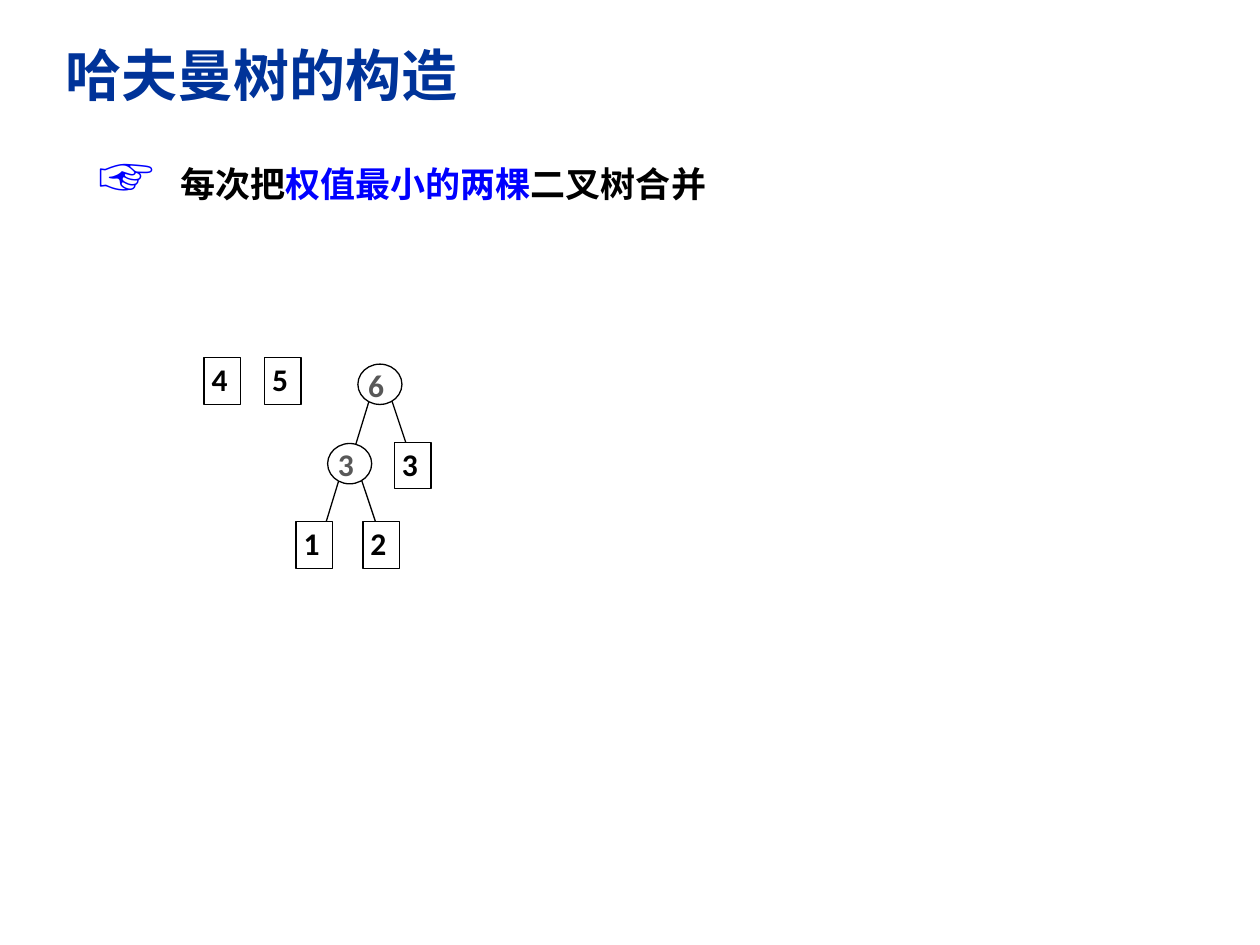
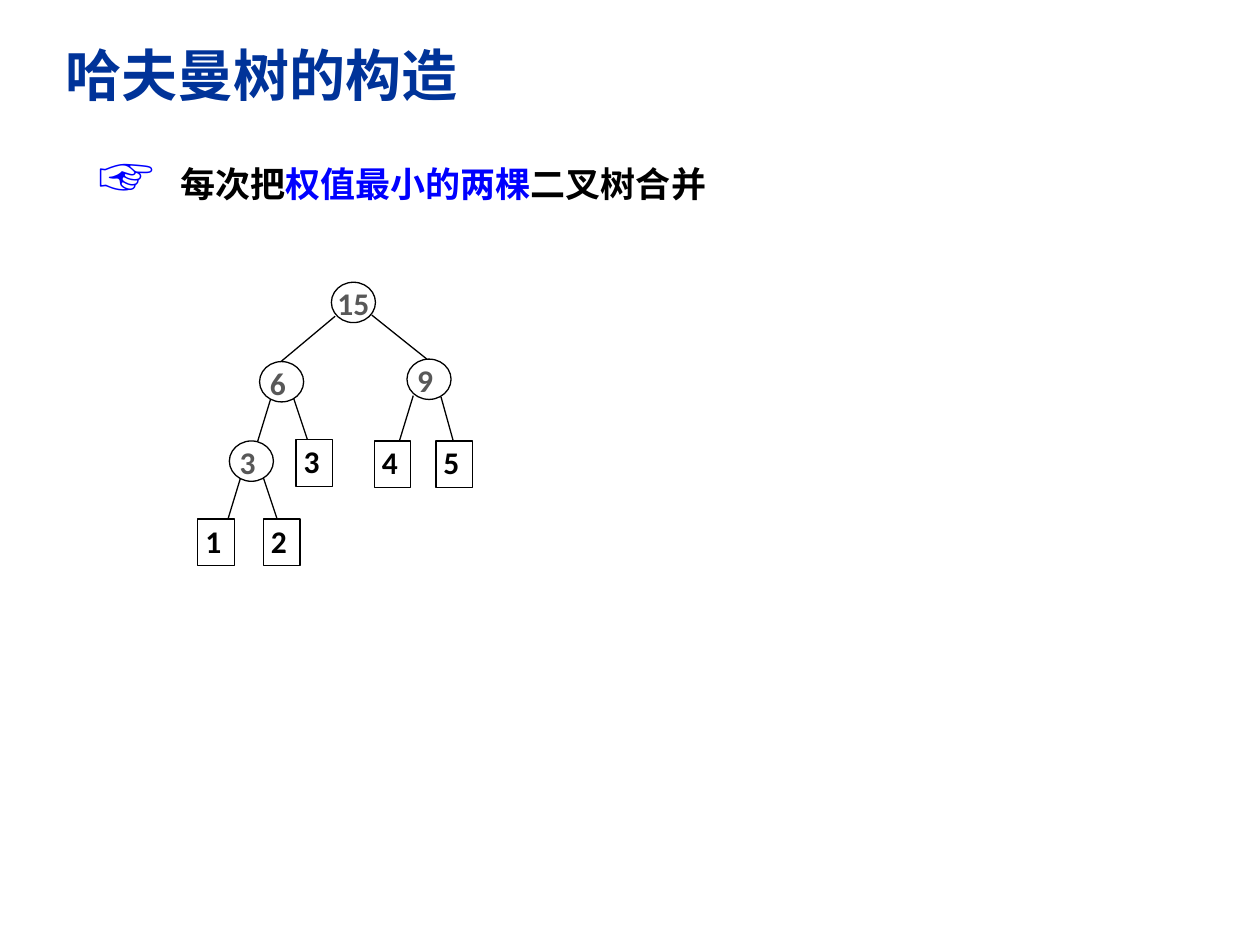
import pptx
import pptx.dml.color
import pptx.enum.shapes
import pptx.enum.text
import pptx.oxml
import pptx.oxml.ns
import pptx.util

PX = 9144
CJK_FONT = "Noto Sans CJK SC"
BLACK, BLUE, NAVY, GRAY, WHITE = "000000", "0000FF", "003399", "585858", "FFFFFF"
LEAF_WIDTH, LEAF_HEIGHT = 29, 37
CIRCLE_WIDTH, CIRCLE_HEIGHT = 35, 32

NARROW = [(9, 29, -2, 65), (27, 29, 39, 65)]
SHIFTED = [(5, 29, -6, 65), (27, 30, 37, 66)]
WIDE = [(3, 27, -40, 63), (32, 26, 77, 62)]

forests = [
    {
        "circles": [("6", 284, 289, NARROW), ("3", 260, 352, NARROW)],
        "leaves": [("4", 162, 284), ("5", 210, 284), ("1", 235, 414),
                   ("2", 288, 414), ("3", 313, 351)],
    },
    {
        "circles": [("15", 263, 224, WIDE), ("6", 206, 287, NARROW),
                    ("9", 323, 285, SHIFTED), ("3", 182, 350, NARROW)],
        "leaves": [("4", 297, 350), ("5", 346, 350), ("1", 157, 412),
                   ("2", 209, 412), ("3", 235, 349)],
    },
]


def color(hex_string):
    return pptx.dml.color.RGBColor.from_string(hex_string)


def write(shape, runs, margins, alignment, anchor, space_before):
    frame = shape.text_frame
    frame.auto_size = pptx.enum.text.MSO_AUTO_SIZE.NONE
    frame.word_wrap = False
    frame.vertical_anchor = anchor
    frame.margin_left, frame.margin_top, frame.margin_right, frame.margin_bottom = [
        margin * PX for margin in margins]
    paragraph = frame.paragraphs[0]
    paragraph.alignment = alignment
    paragraph.space_before = pptx.util.Pt(space_before)
    for text, size, font_name, hex_string in runs:
        run = paragraph.add_run()
        run.text = text
        run.font.size = pptx.util.Pt(size)
        run.font.bold = True
        run.font.color.rgb = color(hex_string)
        run.font.name = font_name
        east_asian = pptx.oxml.parse_xml(
            f'<a:ea {pptx.oxml.ns.nsdecls("a")} typeface="{font_name}"/>')
        run.font._element.append(east_asian)
    return paragraph


LEFT = pptx.enum.text.PP_ALIGN.LEFT
CENTER = pptx.enum.text.PP_ALIGN.CENTER
TOP = pptx.enum.text.MSO_ANCHOR.TOP
MIDDLE = pptx.enum.text.MSO_ANCHOR.MIDDLE
RECTANGLE = pptx.enum.shapes.MSO_SHAPE.RECTANGLE
OVAL = pptx.enum.shapes.MSO_SHAPE.OVAL

presentation = pptx.Presentation()
presentation.slide_width = 1000 * PX
presentation.slide_height = 750 * PX

for forest in forests:
    slide = presentation.slides.add_slide(presentation.slide_layouts[5])

    title = slide.shapes.title
    title.left, title.top, title.width, title.height = [
        length * PX for length in (50, 31, 315, 56)]
    write(title, [("哈夫曼树的构造", 32, CJK_FONT, NAVY)], (0, 1, 0, 0), CENTER, TOP, 1)

    rule = slide.shapes.add_textbox(77 * PX, 111 * PX, 486 * PX, 55 * PX)
    paragraph = write(rule, [
        ("☞\t", 32, "Arial", BLUE),
        ("每次把", 20, CJK_FONT, BLACK),
        ("权值最小的两棵", 20, CJK_FONT, BLUE),
        ("二叉树合并", 20, CJK_FONT, BLACK),
    ], (1, 1, 0, 0), LEFT, TOP, 1)
    paragraph._p.get_or_add_pPr().append(pptx.oxml.parse_xml(
        f'<a:tabLst {pptx.oxml.ns.nsdecls("a")}><a:tab pos="{65 * PX}" algn="l"/></a:tabLst>'))

    for value, left, top, branches in forest["circles"]:
        for begin_x, begin_y, end_x, end_y in branches:
            branch = slide.shapes.add_connector(
                pptx.enum.shapes.MSO_CONNECTOR.STRAIGHT,
                (left + begin_x) * PX, (top + begin_y) * PX,
                (left + end_x) * PX, (top + end_y) * PX)
            branch.line.color.rgb = color(BLACK)
            branch.line.width = pptx.util.Pt(0.75)
            branch._element.spPr.append(pptx.oxml.parse_xml(
                f'<a:effectLst {pptx.oxml.ns.nsdecls("a")}/>'))

    nodes = [(OVAL, value, left, top, CIRCLE_WIDTH, CIRCLE_HEIGHT)
             for value, left, top, branches in forest["circles"]]
    nodes += [(RECTANGLE, value, left, top, LEAF_WIDTH, LEAF_HEIGHT)
              for value, left, top in forest["leaves"]]
    for kind, value, left, top, width, height in nodes:
        node = slide.shapes.add_shape(kind, left * PX, top * PX, width * PX, height * PX)
        node.shadow.inherit = False
        node.fill.solid()
        node.fill.fore_color.rgb = color(WHITE)
        node.line.color.rgb = color(BLACK)
        node.line.width = pptx.util.Pt(0.75)
        if kind == OVAL:
            right_margin = 6 if len(value) == 1 else 0
            write(node, [(value, 18, "Calibri", GRAY)],
                  (0, 1, right_margin, 0), CENTER, MIDDLE, 1)
        else:
            write(node, [(value, 18, "Calibri", BLACK)], (6, 2, 0, 0), LEFT, TOP, 1.4)

presentation.save("out.pptx")
